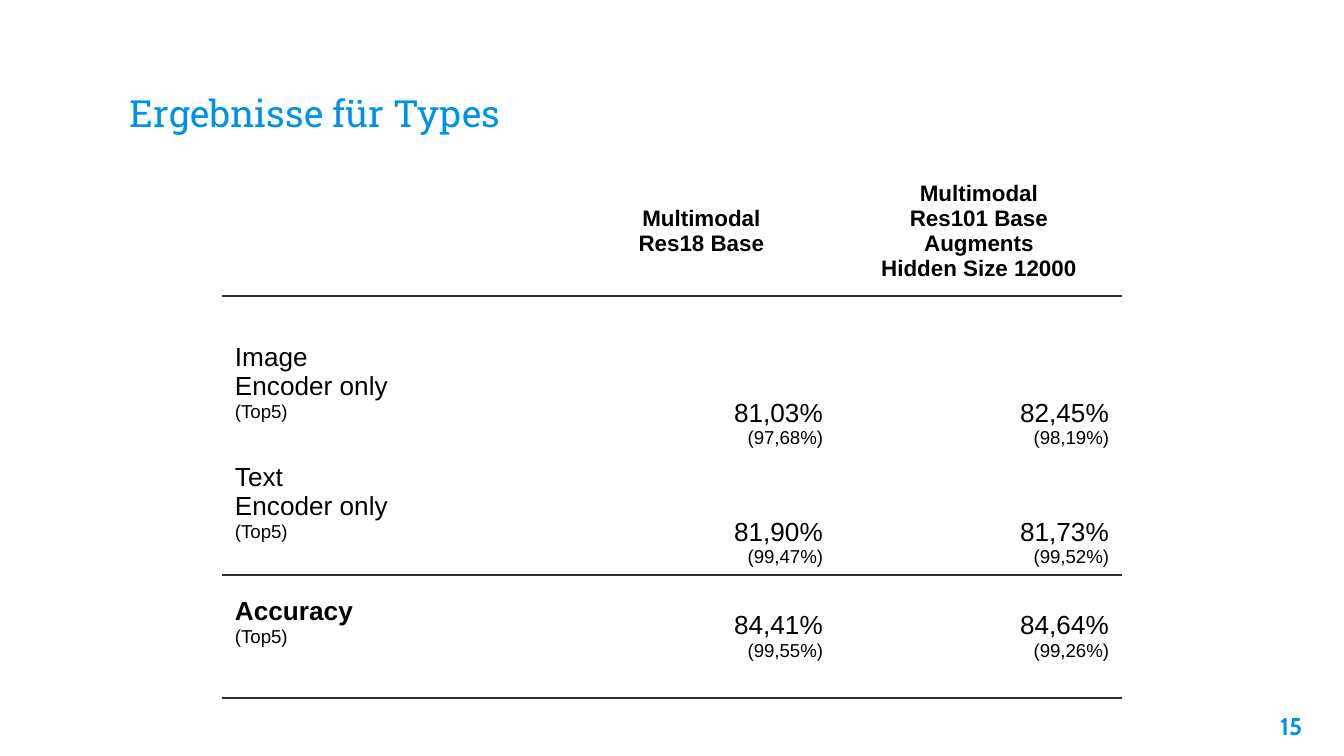
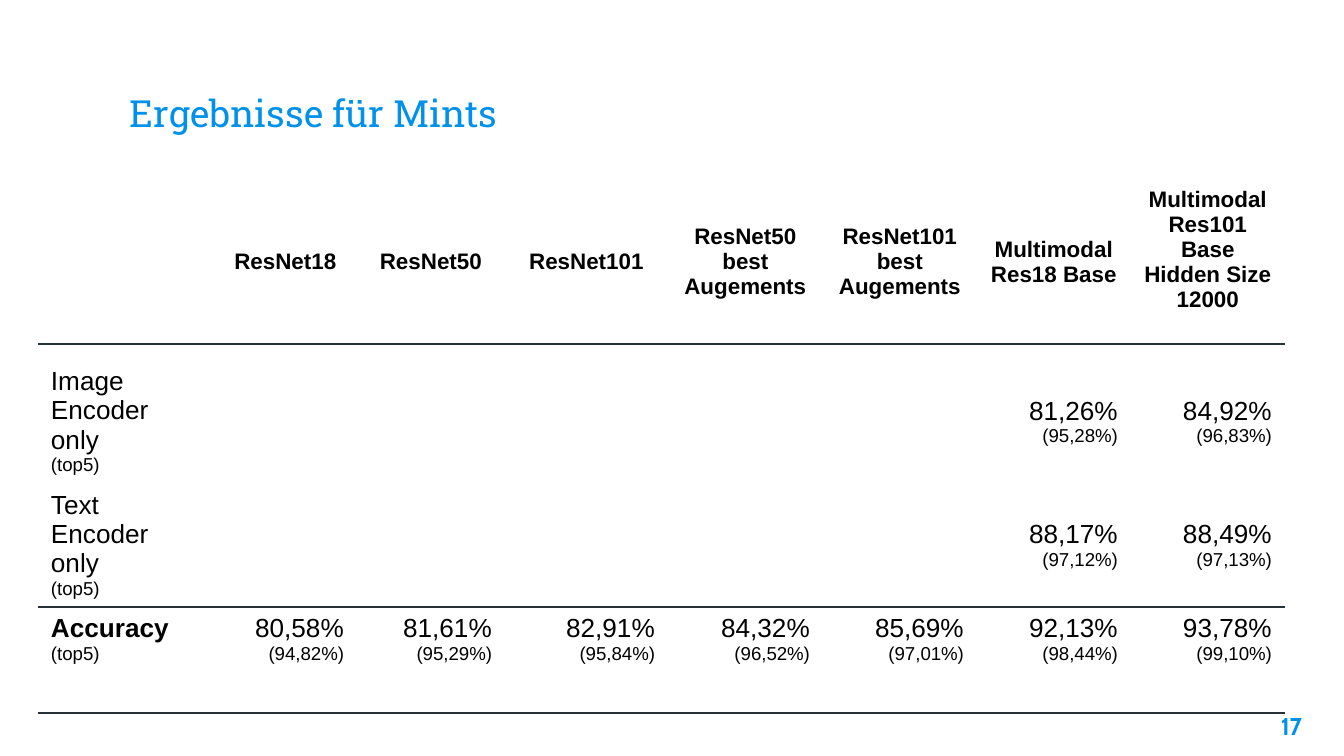
from lxml.etree import SubElement
from pptx import Presentation
from pptx.dml.color import RGBColor
from pptx.enum.text import MSO_ANCHOR, PP_ALIGN
from pptx.oxml.ns import qn
from pptx.util import Pt

PX = 914400 / 134.4
BLUE = RGBColor(0x00, 0x91, 0xEA)
BLACK = RGBColor(0x00, 0x00, 0x00)
SLATE = RGBColor(0x26, 0x32, 0x38)
TOP, MID, LOW = MSO_ANCHOR.TOP, MSO_ANCHOR.MIDDLE, MSO_ANCHOR.BOTTOM
LEFT, MIDDLE, RIGHT = PP_ALIGN.LEFT, PP_ALIGN.CENTER, PP_ALIGN.RIGHT
RULED = (0, 3, 4)  # rows with a line below


def px(count):
    return round(count * PX)


def write(frame, text, size=14, font="Arial", color=BLACK, bold=False, align=LEFT):
    """Write one paragraph per line; lines in brackets are small and light."""
    for index, line in enumerate(text.split("\n")):
        para = frame.paragraphs[0] if index == 0 else frame.add_paragraph()
        para.alignment = align
        run = para.add_run()
        run.text = line
        note = line.startswith("(")
        run.font.size = Pt(10 if note else size)
        run.font.bold = bold and not note
        run.font.name = font
        run.font.color.rgb = color


def add_text(slide, box, text, anchor=TOP, **style):
    frame = slide.shapes.add_textbox(*map(px, box)).text_frame
    frame.word_wrap = True
    frame.vertical_anchor = anchor
    frame.margin_left = frame.margin_right = px(13)
    frame.margin_top = frame.margin_bottom = px(13)
    write(frame, text, **style)


def add_page(deck, title, number):
    slide = deck.slides.add_slide(deck.slide_layouts[6])
    add_text(slide, (117, 45, 1113, 103), title, anchor=LOW,
             size=20, font="Roboto Slab", color=BLUE)
    add_text(slide, (1234, 698, 81, 58), number,
             size=13, font="Cabin", color=BLUE, bold=True, align=RIGHT)
    return slide


def set_lines(cell, row):
    props = cell._tc.get_or_add_tcPr()
    shown = {"T": row - 1 in RULED, "B": row in RULED}
    for side in "LRTB":
        line = SubElement(props, qn(f"a:ln{side}"), w=str(Pt(1)))
        if shown.get(side):
            fill = SubElement(line, qn("a:solidFill"))
            SubElement(fill, qn("a:srgbClr"), val=str(SLATE))
        else:
            SubElement(line, qn("a:noFill"))


def fill_cell(cell, text, anchor, room=(7, 7), side=13, **style):
    """Room is the margin above and below, side the one at left and right."""
    cell.vertical_anchor = anchor
    cell.margin_top, cell.margin_bottom = map(px, room)
    cell.margin_left = cell.margin_right = px(side)
    write(cell.text_frame, text, **style)


def add_grid(slide, spot, cols, rows, heads, body, rooms):
    """Body rows hold label, label anchor, value anchor and values,
    which fill the rightmost columns; rooms maps cells to their margins."""
    wide, high = sum(cols), sum(rows)
    table = slide.shapes.add_table(len(rows), len(cols),
                                   *map(px, (*spot, wide, high))).table
    table.first_row = table.horz_banding = False
    for col, width in zip(table.columns, cols):
        col.width = px(width)
    for row, height in zip(table.rows, rows):
        row.height = px(height)
    for row in range(len(rows)):
        for col in range(len(cols)):
            cell = table.cell(row, col)
            set_lines(cell, row)
            cell.fill.background()
        if row:
            table.cell(row, 0).merge(table.cell(row, 1))
    for col, head in enumerate(heads, 2):
        fill_cell(table.cell(0, col), head, MID, rooms.get((0, col), (7, 7)),
                  side=11, size=12, bold=True, align=MIDDLE)
    for row, (label, place, anchor, values) in enumerate(body, 2):
        fill_cell(table.cell(row, 0), label, place, rooms.get((row, 0), (7, 7)),
                  bold=label.startswith("Accuracy"))
        for col, value in enumerate(values, len(cols) - len(values)):
            fill_cell(table.cell(row, col), value, anchor, align=RIGHT)
    for cell in table.iter_cells():
        if not cell.text_frame.text:
            # Keeps empty cells from stretching their row
            SubElement(cell.text_frame.paragraphs[0]._p,
                       qn("a:endParaRPr"), sz="100")


def add_types(deck):
    slide = add_page(deck, "Ergebnisse für Types", "15")
    heads = ["Multimodal\nRes18 Base",
             "Multimodal\nRes101 Base\nAugments\nHidden Size 12000"]
    body = [
        ("Image\nEncoder only\n(Top5)", TOP, LOW,
         ["81,03%\n(97,68%)", "82,45%\n(98,19%)"]),
        ("Text\nEncoder only\n(Top5)", TOP, LOW,
         ["81,90%\n(99,47%)", "81,73%\n(99,52%)"]),
        ("Accuracy\n(Top5)", MID, MID,
         ["84,41%\n(99,55%)", "84,64%\n(99,26%)"]),
    ]
    add_grid(slide, (222, 166), [149, 196, 269, 286],
             [130, 40, 120, 119, 123], heads, body, {(4, 0): (0, 28)})


def add_mints(deck):
    slide = add_page(deck, "Ergebnisse für Mints", "17")
    heads = ["ResNet18", "ResNet50", "ResNet101",
             "ResNet50\nbest\nAugements", "ResNet101\nbest\nAugements",
             "Multimodal\nRes18 Base",
             "Multimodal\nRes101 Base\nHidden Size\n12000"]
    body = [
        ("Image Encoder only\n(top5)", TOP, MID,
         ["81,26%\n(95,28%)", "84,92%\n(96,83%)"]),
        ("Text\nEncoder only\n(top5)", TOP, MID,
         ["88,17%\n(97,12%)", "88,49%\n(97,13%)"]),
        ("Accuracy\n(top5)", TOP, TOP,
         ["80,58%\n(94,82%)", "81,61%\n(95,29%)", "82,91%\n(95,84%)",
          "84,32%\n(96,52%)", "85,69%\n(97,01%)", "92,13%\n(98,44%)",
          "93,78%\n(99,10%)"]),
    ]
    add_grid(slide, (38, 180), [81, 95, 143, 148, 163, 155, 154, 154, 154],
             [164, 15, 123, 122, 106], heads, body,
             {(0, 8): (0, 25), (2, 0): (7, 0), (3, 0): (7, 0)})


def main():
    deck = Presentation()
    deck.slide_width, deck.slide_height = px(1344), px(756)
    add_types(deck)
    add_mints(deck)
    deck.save("out.pptx")


if __name__ == "__main__":
    main()
